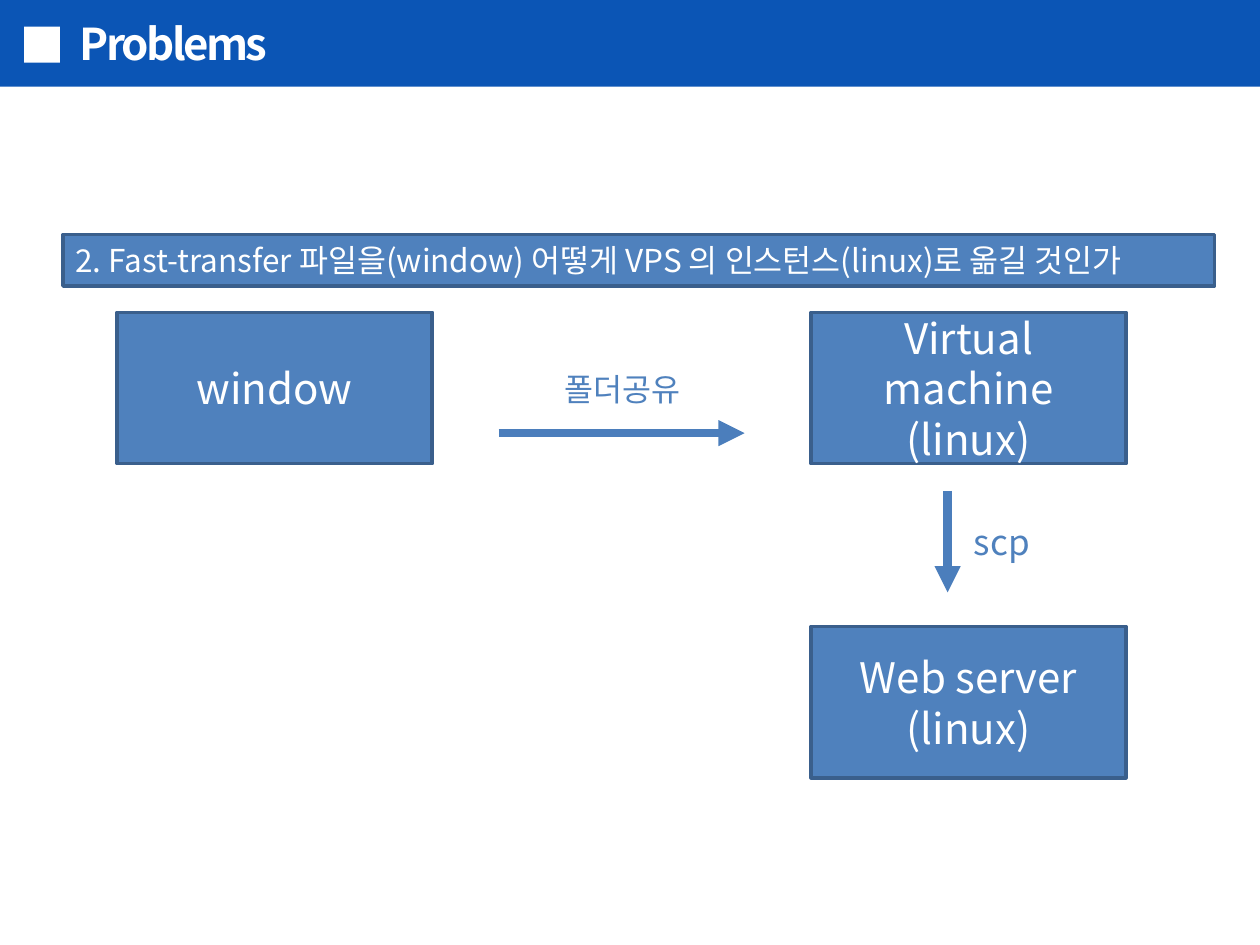
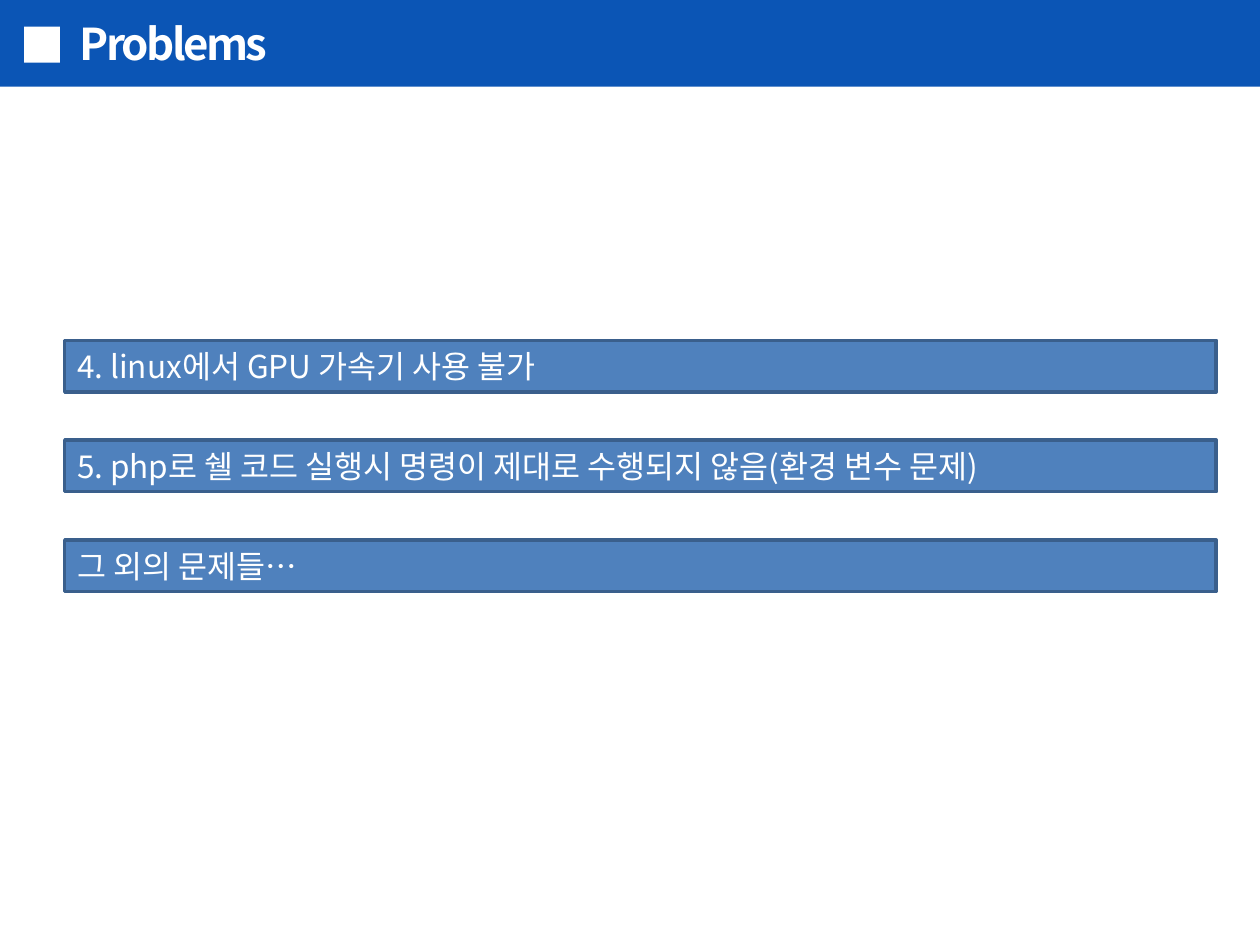
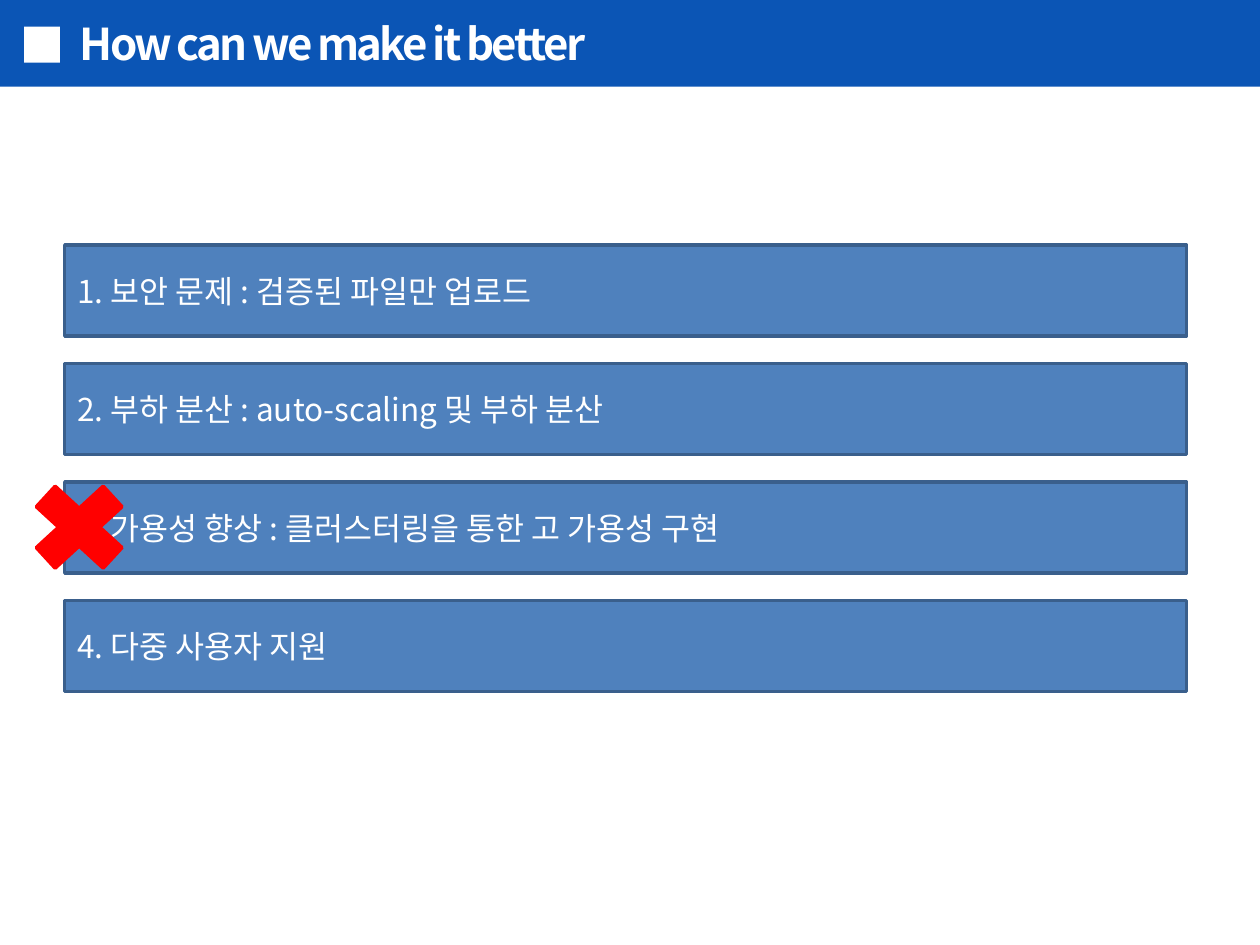
from lxml.etree import SubElement
from pptx import Presentation
from pptx.dml.color import RGBColor
from pptx.enum.shapes import MSO_CONNECTOR, MSO_SHAPE
from pptx.enum.text import MSO_ANCHOR, MSO_AUTO_SIZE, PP_ALIGN
from pptx.oxml.ns import qn
from pptx.util import Pt

FONT = "Noto Sans CJK KR"
COLORS = {name: RGBColor.from_string(value) for name, value in {
    "band": "0B55B5", "white": "FFFFFF", "box": "4F81BD",
    "edge": "3A5F8C", "arrow": "4B7EBC", "cross": "FF0000",
}.items()}


def write(sp, lines, size, color="white", align=PP_ALIGN.LEFT, bold=False, spacing=0):
    """Fill a shape with one paragraph per line, centred vertically."""
    tf = sp.text_frame
    tf.word_wrap = True
    tf.vertical_anchor = MSO_ANCHOR.MIDDLE
    tf.text = lines
    for p in tf.paragraphs:
        p.alignment = align
        for r in p.runs:
            for name, value in {"name": FONT, "size": Pt(size), "bold": bold}.items():
                setattr(r.font, name, value)
            r.font.color.rgb = COLORS[color]
            rPr = r.font._element
            SubElement(rPr, qn("a:ea"), typeface=FONT)
            if spacing:
                rPr.set("spc", str(int(spacing * 100)))


def add_block(shapes, box, fill="box", line="edge", kind=MSO_SHAPE.RECTANGLE):
    sp = shapes.add_shape(kind, *map(Pt, box))
    sp.shadow.inherit = False
    sp.fill.solid()
    sp.fill.fore_color.rgb = COLORS[fill]
    if line:
        sp.line.color.rgb = COLORS[line]
        sp.line.width = Pt(2)
    else:
        sp.line.fill.background()
    return sp


prs = Presentation()
prs.slide_width, prs.slide_height = Pt(720), Pt(540)
layout = prs.slide_layouts.get_by_name("Title Only")

# Slides and titles
slides = []
for title in ("Problems", "Problems", "How can we make it better"):
    slide = prs.slides.add_slide(layout)
    sp = slide.shapes.title
    for name, value in {"left": 45.5, "top": 9.5, "width": 666, "height": 30}.items():
        setattr(sp, name, Pt(value))
    write(sp, title, 25, bold=True, spacing=-1.5)
    tf = sp.text_frame
    tf.auto_size = MSO_AUTO_SIZE.SHAPE_TO_FIT_TEXT
    for side in ("left", "top", "right", "bottom"):
        setattr(tf, f"margin_{side}", 0)
    slides.append(slide)
transfer, limits, improvements = (slide.shapes for slide in slides)

# Header band and square, moved to the shared layout
header = (((0, 0, 720, 49.5), "band"), ((13.75, 15.25, 20.5, 20.5), "white"))
for i, (box, fill) in enumerate(header):
    sp = add_block(transfer, box, fill, line=None)
    layout.shapes.element.insert(2 + i, sp.element)

# Slide 1: file transfer route
sp = add_block(transfer, (36, 134, 658, 29.5))
write(sp, "2. Fast-transfer 파일을(window) 어떻게 VPS 의 인스턴스(linux)로 옮길 것인가", 18)

for text, left, top in (
    ("window", 67, 178.5),
    ("Virtual machine\n(linux)", 463.5, 178.5),
    ("Web server\n(linux)", 463.5, 358),
):
    sp = add_block(transfer, (left, top, 180, 86.5))
    write(sp, text, 24, align=PP_ALIGN.CENTER)

for ends, text, size, label_box in (
    ((285, 247.5, 425.5, 247.5), "폴더공유", 18, (307.5, 207.5, 96, 29.5)),
    ((541.5, 280.5, 541.5, 338.5), "scp", 20, (548, 294.5, 49, 29.5)),
):
    arrow = transfer.add_connector(MSO_CONNECTOR.STRAIGHT, *map(Pt, ends))
    arrow.line.color.rgb = COLORS["arrow"]
    arrow.line.width = Pt(5)
    SubElement(arrow.line._get_or_add_ln(), qn("a:tailEnd"), type="triangle")
    SubElement(arrow._element.spPr, qn("a:effectLst"))
    label = transfer.add_textbox(*map(Pt, label_box))
    write(label, text, size, "box", PP_ALIGN.CENTER)

# Slides 2 and 3: evenly spaced bars
for shapes, top, step, width, height, texts in (
    (limits, 194.5, 57, 658, 29.5, (
        "4. linux에서 GPU 가속기 사용 불가",
        "5. php로 쉘 코드 실행시 명령이 제대로 수행되지 않음(환경 변수 문제)",
        "그 외의 문제들…",
    )),
    (improvements, 140, 67.75, 641, 52, (
        "1. 보안 문제 : 검증된 파일만 업로드",
        "2. 부하 분산 : auto-scaling 및 부하 분산",
        "3. 가용성 향상 : 클러스터링을 통한 고 가용성 구현",
        "4. 다중 사용자 지원",
    )),
):
    for i, text in enumerate(texts):
        sp = add_block(shapes, (37, top + i * step, width, height))
        write(sp, text, 18)

add_block(improvements, (8.5, 267.5, 73.5, 67.5), "cross", "cross", MSO_SHAPE.MATH_MULTIPLY)

prs.save("out.pptx")
